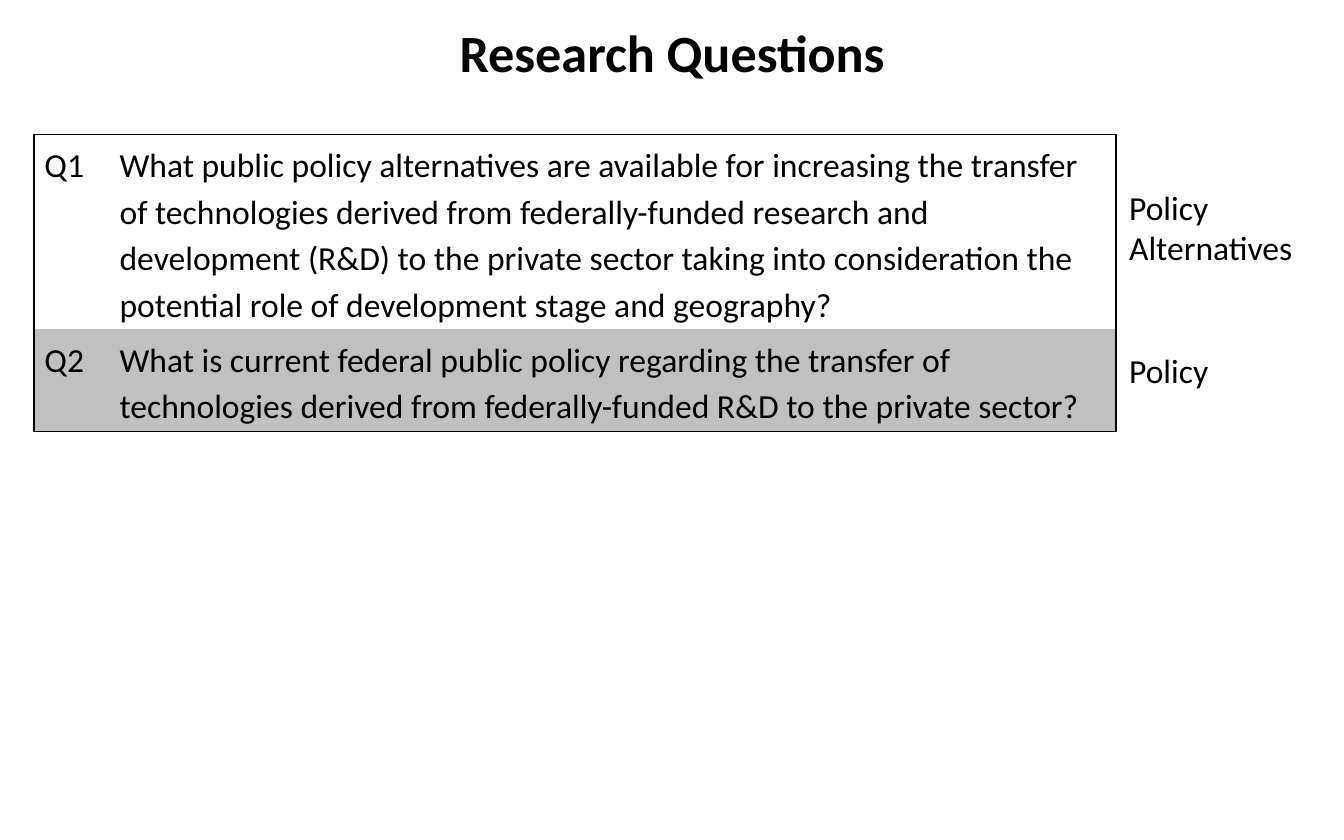
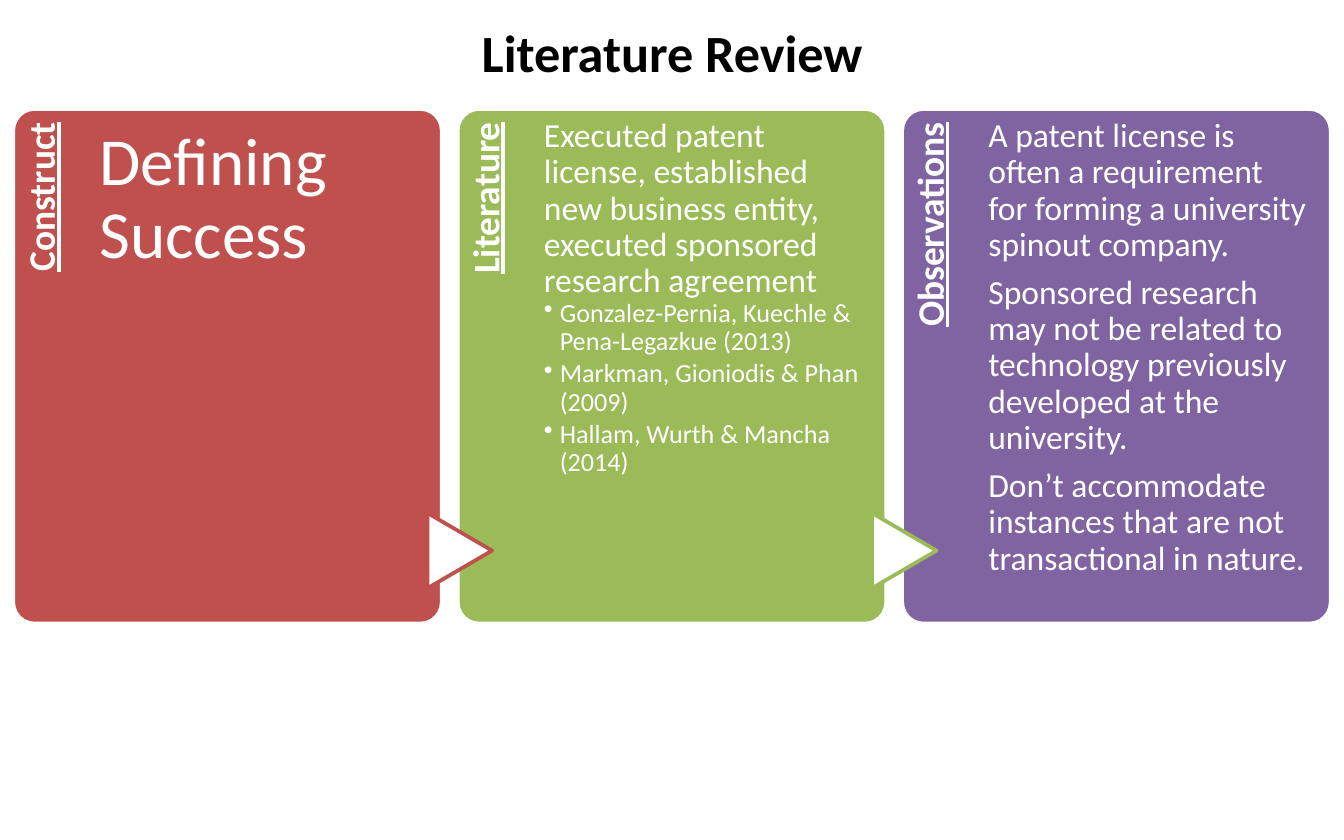
from dataclasses import dataclass

from lxml import etree
from pptx import Presentation
from pptx.dml.color import RGBColor
from pptx.enum.shapes import MSO_SHAPE
from pptx.enum.text import MSO_ANCHOR, MSO_AUTO_SIZE, PP_ALIGN
from pptx.oxml.ns import qn
from pptx.util import Cm, Pt

CARD, ARROW = MSO_SHAPE.ROUNDED_RECTANGLE, MSO_SHAPE.FLOWCHART_EXTRACT
TOP, MIDDLE = MSO_ANCHOR.TOP, MSO_ANCHOR.MIDDLE
LEFT, CENTER, RIGHT = PP_ALIGN.LEFT, PP_ALIGN.CENTER, PP_ALIGN.RIGHT
GROW = MSO_AUTO_SIZE.SHAPE_TO_FIT_TEXT


@dataclass(frozen=True)
class Theme:
    font: str = "Calibri"
    black: RGBColor = RGBColor(0, 0, 0)
    white: RGBColor = RGBColor(255, 255, 255)
    gray: RGBColor = RGBColor(0xC0, 0xC0, 0xC0)
    red: RGBColor = RGBColor(0xC0, 0x50, 0x4D)
    green: RGBColor = RGBColor(0x9B, 0xBB, 0x59)
    purple: RGBColor = RGBColor(0x80, 0x64, 0xA2)
    title: int = 28
    display: int = 36
    label: int = 20
    body: int = 18
    detail: int = 14


theme = Theme()


def write(frame, text, size, color, align=LEFT, spacing=1.0, after=0.0, bold=False):
    para = frame.paragraphs[0]
    if para.runs:
        para = frame.add_paragraph()
    para.alignment = align
    para.line_spacing = spacing
    para.space_before = Pt(0)
    para.space_after = Pt(size * after)
    span = para.add_run()
    span.text = text
    span.font.name = theme.font
    span.font.size = Pt(size)
    span.font.bold = bold
    span.font.color.rgb = color
    return para


def add_box(page, left, top, width, height, inset_top, inset_right=0.0, inset_bottom=0.0):
    box = page.shapes.add_textbox(Cm(left), Cm(top), Cm(width), Cm(height))
    frame = box.text_frame
    frame.word_wrap = True
    frame.vertical_anchor = TOP
    frame.margin_left, frame.margin_right = Cm(0), Cm(inset_right)
    frame.margin_top, frame.margin_bottom = Cm(inset_top), Cm(inset_bottom)
    return box


deck = Presentation()
deck.slide_width, deck.slide_height = Cm(25.4), Cm(15.88)

pages = []
for heading in ("Research Questions", "Literature Review"):
    page = deck.slides.add_slide(deck.slide_layouts[5])
    title = page.shapes.title
    title.left, title.top, title.width, title.height = Cm(0), Cm(0.25), Cm(25.4), Cm(1.45)
    title.text_frame.vertical_anchor = MIDDLE
    title.text_frame.auto_size = GROW
    write(title.text_frame, heading, theme.title, theme.black, CENTER, bold=True)
    pages.append(page)
questions_page, review_page = pages

questions = [
    ("Q1", "What public policy alternatives are available for increasing the transfer of "
     "technologies derived from federally-funded research and development (R&D) to the "
     "private sector taking into consideration the potential role of development stage "
     "and geography?"),
    ("Q2", "What is current federal public policy regarding the transfer of technologies "
     "derived from federally-funded R&D to the private sector?"),
]
table = questions_page.shapes.add_table(
    2, 2, Cm(0.64), Cm(2.54), Cm(20.45), Cm(5.61)).table
table.first_row = table.horz_banding = False
for column, width in zip(table.columns, (1.42, 19.03)):
    column.width = Cm(width)
for row, height in zip(table.rows, (3.68, 1.93)):
    row.height = Cm(height)

for row, question in enumerate(questions):
    for column, text in enumerate(question):
        cell = table.cell(row, column)
        cell.margin_left = cell.margin_right = Cm(0.2)
        cell.margin_top = cell.margin_bottom = Cm(0.1)
        cell.vertical_anchor = TOP
        write(cell.text_frame, text, theme.body, theme.black, spacing=1.14)
        outer = {"lnL": column == 0, "lnR": column == 1, "lnT": row == 0, "lnB": row == 1}
        properties = cell._tc.get_or_add_tcPr()
        for side, visible in outer.items():
            border = etree.SubElement(properties, qn("a:" + side), w=str(Pt(1)))
            if visible:
                fill = etree.SubElement(border, qn("a:solidFill"))
                etree.SubElement(fill, qn("a:srgbClr"), val=str(theme.black))
            else:
                etree.SubElement(border, qn("a:noFill"))
        if row == 1:
            cell.fill.solid()
            cell.fill.fore_color.rgb = theme.gray
        else:
            cell.fill.background()

for text, top, height in (("Policy Alternatives", 3.4, 1.8), ("Policy", 6.48, 1.02)):
    box = add_box(questions_page, 21.34, top, 3.81, height, 0.13, inset_bottom=0.13)
    box.text_frame.auto_size = GROW
    write(box.text_frame, text, theme.body, theme.black)

cards = [
    ("Construct", theme.red, theme.display, 0.36, ["Defining Success"], []),
    ("Literature", theme.green, theme.body, 0.18,
     ["Executed patent license, established new business entity, executed sponsored "
      "research agreement"],
     ["Gonzalez-Pernia, Kuechle & Pena-Legazkue (2013)",
      "Markman, Gioniodis & Phan (2009)",
      "Hallam, Wurth & Mancha (2014)"]),
    ("Observations", theme.purple, theme.body, 0.18,
     ["A patent license is often a requirement for forming a university spinout company.",
      "Sponsored research may not be related to technology previously developed at the "
      "university.",
      "Don’t accommodate instances that are not transactional in nature."], []),
]
card_top, card_width, card_height, card_pitch = 2.06, 8.1, 9.73, 8.4
label_length, label_depth = 7.98, 1.63
previous_color = None

for index, (label, color, size, inset_top, statements, sources) in enumerate(cards):
    left = 0.25 + index * card_pitch
    shapes = [(CARD, left, card_top, card_width, card_height, 0, color, theme.white)]
    if previous_color:
        shapes.append((ARROW, left - 0.67, 9.8, 1.42, 1.22, 90, theme.white, previous_color))
    for kind, x, y, width, height, turn, fill_color, line_color in shapes:
        shape = review_page.shapes.add_shape(kind, Cm(x), Cm(y), Cm(width), Cm(height))
        shape.shadow.inherit = False
        shape.rotation = turn
        shape.fill.solid()
        shape.fill.fore_color.rgb = fill_color
        shape.line.color.rgb = line_color
        shape.line.width = Pt(2)
        if kind == CARD:
            shape.adjustments[0] = 0.05

    label_box = add_box(review_page, left + (label_depth - label_length) / 2,
                        card_top + (label_length - label_depth) / 2,
                        label_length, label_depth, 0.18, inset_right=0.25)
    label_box.rotation = 270
    para = write(label_box.text_frame, label, theme.label, theme.white, RIGHT, 0.9, bold=True)
    para.runs[0].font.underline = True

    body = add_box(review_page, left + label_depth, card_top, 6.05, card_height, inset_top)
    for statement in statements:
        write(body.text_frame, statement, size, theme.white, spacing=0.9,
              after=0 if sources else 0.35)
    for source in sources:
        para = write(body.text_frame, source, theme.detail, theme.white, spacing=0.9, after=0.15)
        para.level = 1
        properties = para._p.get_or_add_pPr()
        properties.set("marL", str(Cm(0.3)))
        properties.set("indent", str(-Cm(0.3)))
        etree.SubElement(properties, qn("a:buChar"), char="•")
    previous_color = color

deck.save("out.pptx")
